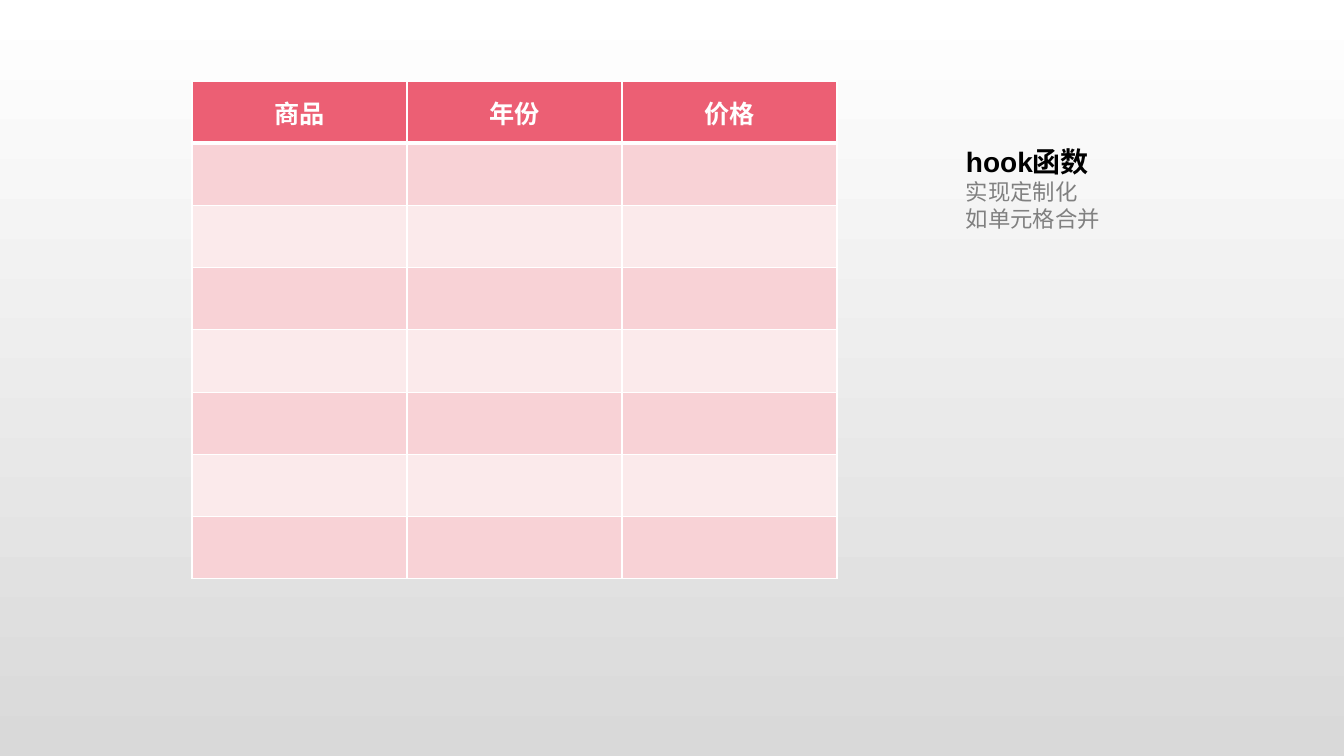
from lxml.etree import SubElement
from pptx import Presentation
from pptx.dml.color import RGBColor
from pptx.enum.text import MSO_ANCHOR as Anchor, MSO_AUTO_SIZE as AutoSize, PP_ALIGN as Align
from pptx.oxml.ns import qn
from pptx.util import Emu, Pt

SLIDE_W, SLIDE_H = 1344, 756
EMU_PER_PX = 12192000 / SLIDE_W
FONT = "Arial"
COLORS = {
    "white": "FFFFFF",
    "backdrop_end": "D9D9D9",
    "header": "EC5F74",
    "band_dark": "F8D2D6",
    "band_light": "FBEAEB",
    "title": "000000",
    "note": "808080",
}
HEADINGS = ["商品", "年份", "价格"]
BODY_ROWS = 7
HOOK_LINES = [
    ("hook函数", 20, "title", True),
    ("实现定制化", 16, "note", False),
    ("如单元格合并", 16, "note", False),
]


def px(length):
    return Emu(round(length * EMU_PER_PX))


def color(name):
    return RGBColor.from_string(COLORS[name])


def add_run(paragraph, text, size, tint, bold):
    run = paragraph.add_run()
    run.text = text
    run.font.name = FONT
    run.font.size = Pt(size)
    run.font.bold = bold
    run.font.color.rgb = color(tint)


def paint_background(slide):
    fill = slide.background.fill
    fill.gradient()
    fill.gradient_angle = 270
    for stop, position, tint in zip(fill.gradient_stops, (0, 1), ("white", "backdrop_end")):
        stop.position = position
        stop.color.rgb = color(tint)


def set_borders(cell, top, bottom):
    properties = cell._tc.get_or_add_tcPr()
    for side, width in (("L", 1), ("R", 1), ("T", top), ("B", bottom)):
        line = SubElement(properties, qn(f"a:ln{side}"), w=str(Pt(width)))
        SubElement(SubElement(line, qn("a:solidFill")), qn("a:srgbClr"), val=COLORS["white"])


def add_goods_table(slide, left, top, width, height):
    row_count, column_count = BODY_ROWS + 1, len(HEADINGS)
    goods = slide.shapes.add_table(
        row_count, column_count, px(left), px(top), px(width), px(height)
    ).table
    for column in goods.columns:
        column.width = px(width / column_count)
    for row_index, row in enumerate(goods.rows):
        row.height = px(height / row_count)
        is_header = row_index == 0
        band = "header" if is_header else "band_dark" if row_index % 2 else "band_light"
        for cell, heading in zip(row.cells, HEADINGS):
            set_borders(cell, 3 if row_index == 1 else 1, 3 if is_header else 1)
            cell.fill.solid()
            cell.fill.fore_color.rgb = color(band)
            if is_header:
                cell.vertical_anchor = Anchor.MIDDLE
                paragraph = cell.text_frame.paragraphs[0]
                paragraph.alignment = Align.CENTER
                add_run(paragraph, heading, 18, "white", True)


def add_hook_note(slide, left, top, width, height):
    frame = slide.shapes.add_textbox(px(left), px(top), px(width), px(height)).text_frame
    frame.word_wrap = False
    frame.auto_size = AutoSize.SHAPE_TO_FIT_TEXT
    for index, (text, size, tint, bold) in enumerate(HOOK_LINES):
        paragraph = frame.add_paragraph() if index else frame.paragraphs[0]
        add_run(paragraph, text, size, tint, bold)


def main():
    deck = Presentation()
    deck.slide_width, deck.slide_height = px(SLIDE_W), px(SLIDE_H)
    slide = deck.slides.add_slide(deck.slide_layouts[6])
    paint_background(slide)
    add_goods_table(slide, 192, 81, 645, 498)
    add_hook_note(slide, 956, 140, 154, 98)
    deck.save("out.pptx")


if __name__ == "__main__":
    main()
